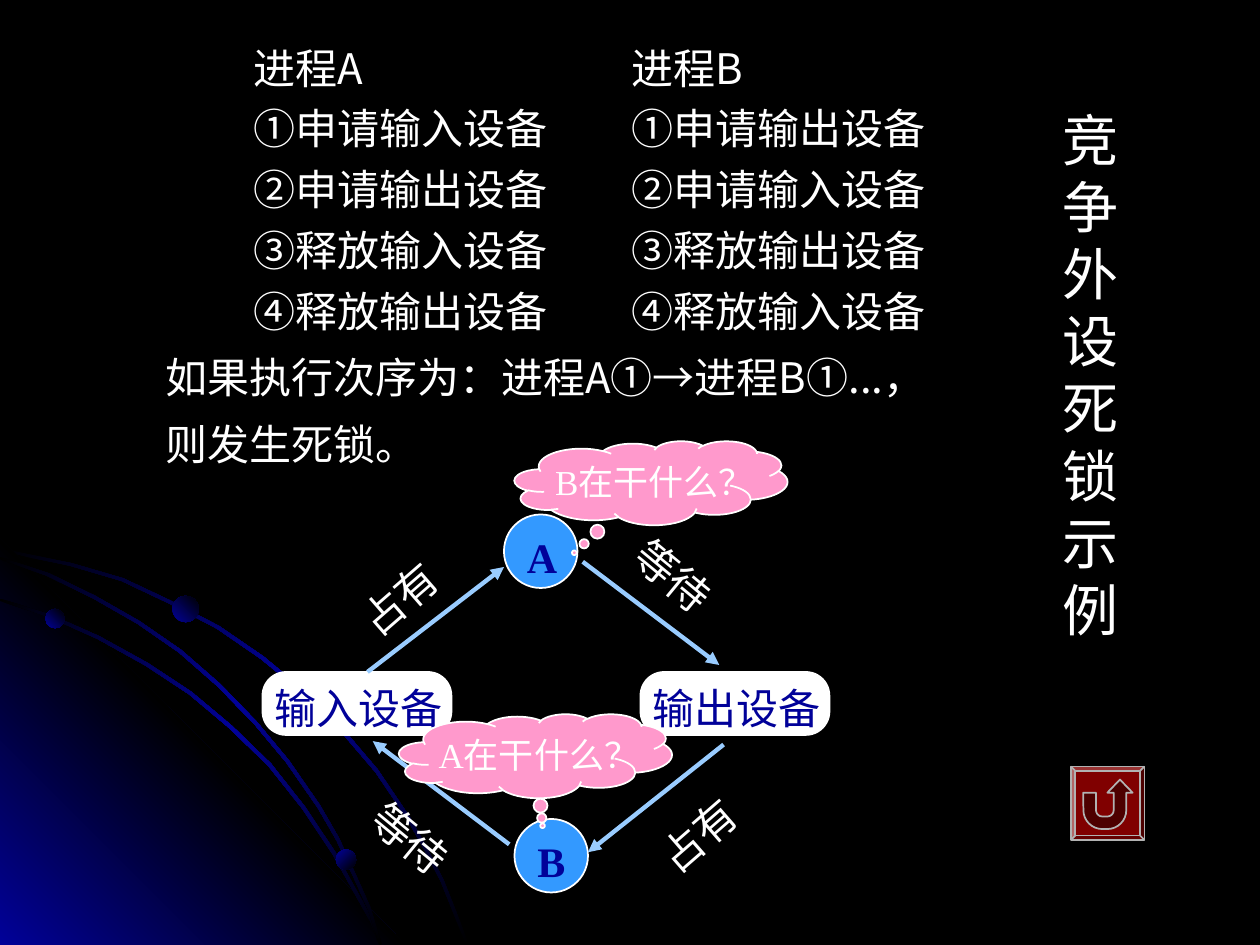
from math import cos, radians, sin

from lxml.etree import SubElement
from pptx import Presentation
from pptx.dml.color import RGBColor
from pptx.enum.shapes import MSO_CONNECTOR, MSO_SHAPE
from pptx.enum.text import MSO_ANCHOR, PP_ALIGN
from pptx.oxml.ns import qn
from pptx.util import Pt

SANS, SERIF = "Noto Sans CJK SC", "Times New Roman"
WHITE, NAVY, BLACK = "FFFFFF", "010199", "000000"
RIBBONS = [
    [(0, 313.2), (20, 317.5), (41, 321.8), (70.6, 330.5), (97.9, 343.4), (125.3, 357.8),
     (150.5, 375.1), (174.2, 394.6), (195.8, 416.2), (216, 439.9), (234, 466.6),
     (244.1, 484.6), (253.4, 502.6), (260.6, 520.6), (267.8, 539.3)],
    [(0, 342), (29.5, 351.4), (56.9, 363.6), (84.2, 378.7), (109.4, 395.3), (132.5, 414.7),
     (154.8, 436.3), (174.2, 460.8), (191.5, 486.7), (205.9, 512.6), (213.1, 525.6),
     (218.2, 539.3)],
    [(0, 318.2), (28.1, 327.6), (54.7, 340.6), (79.9, 355), (103.7, 371.5), (126, 391),
     (146.9, 412.6), (164.9, 434.2), (182.9, 460.1), (193.7, 478.8), (203, 499),
     (211.7, 518.4), (218.2, 539.3)],
]
STEPS = [
    ("进程A", "进程B"),
    ("①申请输入设备", "①申请输出设备"),
    ("②申请输出设备", "②申请输入设备"),
    ("③释放输入设备", "③释放输出设备"),
    ("④释放输出设备", "④释放输入设备"),
]
OUTCOME = ["如果执行次序为：进程A①→进程B①...，", "则发生死锁。"]


def colour(value):
    """Turn a hex string into a colour."""
    return RGBColor.from_string(value)


def apply(target, values):
    """Set each named attribute on the target."""
    for name, value in values.items():
        setattr(target, name, value)


def paint(shape, fill, line=None):
    """Give a shape a solid fill and an optional 1 pt outline."""
    shape.shadow.inherit = False
    shape.fill.solid()
    shape.fill.fore_color.rgb = colour(fill)
    if line:
        shape.line.color.rgb = colour(line)
        shape.line.width = Pt(1)
    else:
        shape.line.fill.background()


def shade(shape, stops, angle):
    """Fill a shape with evenly spaced gradient stops."""
    paint(shape, BLACK)
    shape.fill.gradient()
    shape.fill.gradient_angle = angle
    stop_list = shape.fill._fill._gradFill.find(qn("a:gsLst"))
    for stop in list(stop_list):
        stop_list.remove(stop)
    for index, value in enumerate(stops):
        stop = SubElement(stop_list, qn("a:gs"), pos=str(index * 100000 // (len(stops) - 1)))
        SubElement(stop, qn("a:srgbClr"), val=value)


def outline(page, points):
    """Draw a closed outline through points."""
    scaled = [(Pt(x), Pt(y)) for x, y in points]
    builder = page.shapes.build_freeform(*scaled[0], scale=1.0)
    builder.add_line_segments(scaled[1:], close=True)
    return builder.convert_to_shape()


def preset(page, kind, box):
    """Add a preset shape in a box given in points."""
    return page.shapes.add_shape(kind, *map(Pt, box))


def write(para, text, size, tint, font=SERIF, bold=False):
    """Add one formatted span to a paragraph."""
    span = para.add_run()
    span.text = text
    apply(span.font, {"name": font, "size": Pt(size), "bold": bold})
    span.font.color.rgb = colour(tint)
    SubElement(span._r.get_or_add_rPr(), qn("a:ea"), typeface=SANS)


def text_frame(page, box, top=6):
    """Add a wrapping text box and return its frame."""
    frame = page.shapes.add_textbox(*map(Pt, box)).text_frame
    apply(frame, {"word_wrap": True, "margin_top": Pt(top)})
    return frame


def label(page, box, text, size=24, tint=WHITE, turn=0):
    """Place a label of Chinese text, turned if asked."""
    frame = text_frame(page, box)
    para = frame.paragraphs[0]
    para.line_spacing = Pt(size * 1.2)
    write(para, text, size, tint)
    frame._parent.rotation = turn


def backdrop(page, box):
    """Draw the glowing corner, the ribbons and their beads."""
    left, top, width, height = box
    bottom = top + height
    for index, edge in enumerate(RIBBONS):
        under = [(max(x - 1.4, left), min(y + 1.4, bottom)) for x, y in reversed(edge)]
        shade(outline(page, edge + under), [BLACK, NAVY, BLACK], 315)
        if index == 0:
            corner = [(left, bottom - 232.5), (left + 232, bottom), (left, bottom)]
            shade(outline(page, corner), [NAVY, BLACK, NAVY], 45)
    for x, y, size, angle in [(26, 348, 11, 45), (192, 485.5, 11.5, 315), (98.6, 340.5, 15, 45)]:
        bead = preset(page, MSO_SHAPE.OVAL, (left + x, top + y, size, size))
        shade(bead, [NAVY, BLACK], angle)


def steps(page, box):
    """List the steps of both processes in two tabbed columns, then the outcome."""
    frame = text_frame(page, box)
    rows = ["\t" + "\t".join(pair) for pair in STEPS] + OUTCOME
    for index, row in enumerate(rows):
        para = frame.add_paragraph() if index else frame.paragraphs[0]
        props = para._p.get_or_add_pPr()
        outcome = row in OUTCOME
        if outcome:
            props.set("marL", str(Pt(21.5)))
        else:
            tabs = SubElement(props, qn("a:tabLst"))
            for stop in (72, 288):
                SubElement(tabs, qn("a:tab"), pos=str(Pt(stop)), algn="l")
        apply(para, {"alignment": PP_ALIGN.JUSTIFY, "line_spacing": Pt(28.8),
                     "space_before": Pt(0 if not index else 6 if outcome else 3),
                     "space_after": Pt(3)})
        write(para, row, 24, WHITE, SANS)


def process(page, box, name):
    """Draw a process circle with its letter."""
    left, top, width, height = box
    paint(preset(page, MSO_SHAPE.OVAL, box), "3399FF", WHITE)
    frame = text_frame(page, (left + 6, top + 6, 30, 36), 3.6)
    write(frame.paragraphs[0], name, 24, NAVY, bold=True)


def device(page, box, name):
    """Draw a device as a rounded box with its name."""
    left, top, width, height = box
    shape = preset(page, MSO_SHAPE.ROUNDED_RECTANGLE, box)
    shape.adjustments[0] = 0.375
    paint(shape, WHITE, WHITE)
    label(page, (left, top, width + 12, height), name, tint=NAVY)


def arrow(page, ends):
    """Draw an arrow from one point to another."""
    link = page.shapes.add_connector(MSO_CONNECTOR.STRAIGHT, *map(Pt, ends))
    link.line.color.rgb = colour("99CCFF")
    link.line.width = Pt(2.5)
    SubElement(link.line._get_or_add_ln(), qn("a:tailEnd"), type="triangle")
    SubElement(link._element.spPr, qn("a:effectLst"))


def thought(page, box, text, tip):
    """Draw a thought cloud whose tail leads to the tip."""
    cloud = preset(page, MSO_SHAPE.CLOUD_CALLOUT, box)
    cloud.adjustments[0], cloud.adjustments[1] = tip
    paint(cloud, "FF99CC", WHITE)
    frame = cloud.text_frame
    apply(frame, {"word_wrap": False, "vertical_anchor": MSO_ANCHOR.MIDDLE,
                  "margin_left": Pt(22.2)})
    frame.paragraphs[0].alignment = PP_ALIGN.CENTER
    write(frame.paragraphs[0], text, 20, WHITE)


def deadlock(page, box):
    """Draw the cycle of processes, devices, arrows and thoughts."""
    left, top = box[:2]
    process(page, (left + 144, top + 216, 42, 42), "B")
    process(page, (left + 138, top + 42, 42, 42), "A")
    device(page, (left, top + 132, 108, 36), "输入设备")
    device(page, (left + 216, top + 132, 108, 36), "输出设备")
    links = [
        ((60, 132, 138, 72), "占有", (45, 69, 66, 36), 319),
        ((263.5, 173.5, 186, 235), "占有", (216, 204, 66, 36), 319),
        ((183, 69, 261, 128), "等待", (204, 60, 72, 36), 39.5),
        ((141, 230.5, 63, 171.5), "等待", (54, 210, 72, 36), 39.5),
    ]
    for (x1, y1, x2, y2), text, (x, y, width, height), turn in links:
        arrow(page, (left + x1, top + y1, left + x2, top + y2))
        label(page, (left + x, top + y, width, height), text, turn=turn)
    thought(page, (left + 78, top + 156, 156, 48), "A在干什么？", (0.026, 0.831))
    thought(page, (left + 144, top, 156, 48), "B在干什么？", (-0.281, 0.831))


def arc(x, y, radius, start, end):
    """List points along an arc, with angles in degrees."""
    angles = [radians(start + (end - start) * step / 8) for step in range(9)]
    return [(x + radius * cos(angle), y + radius * sin(angle)) for angle in angles]


def return_button(page, box):
    """Draw a bevelled button with a U-turn arrow."""
    left, top, width, height = box
    frame = preset(page, MSO_SHAPE.BEVEL, box)
    frame.adjustments[0] = 0.06
    paint(frame, "800000", "B2B2B2")
    points = [(7, 15), (14.3, 15)]
    points += arc(17.9, 25, 3.6, 180, 90) + arc(20.8, 25, 3.6, 90, 0)
    points += [(24.4, 15), (20.8, 15), (28, 7.5), (35.2, 15), (31.6, 15)]
    points += arc(20.8, 25, 10.8, 0, 90) + arc(17.9, 25, 10.8, 90, 180)
    paint(outline(page, [(left + x, top + y) for x, y in points]), "4D0000", "B2B2B2")


def main():
    """Build the slide and save the deck."""
    deck = Presentation()
    apply(deck, {"slide_width": Pt(720), "slide_height": Pt(540)})
    page = deck.slides.add_slide(deck.slide_layouts[6])
    page.background.fill.solid()
    page.background.fill.fore_color.rgb = colour(BLACK)
    backdrop(page, (0, 0, 720, 540))
    steps(page, (66, 18, 606, 251))
    deadlock(page, (150, 252, 324, 258))
    label(page, (600, 54, 54, 315), "竞争外设死锁示例", size=32)
    return_button(page, (612, 438, 42, 42))
    deck.save("out.pptx")


if __name__ == "__main__":
    main()
